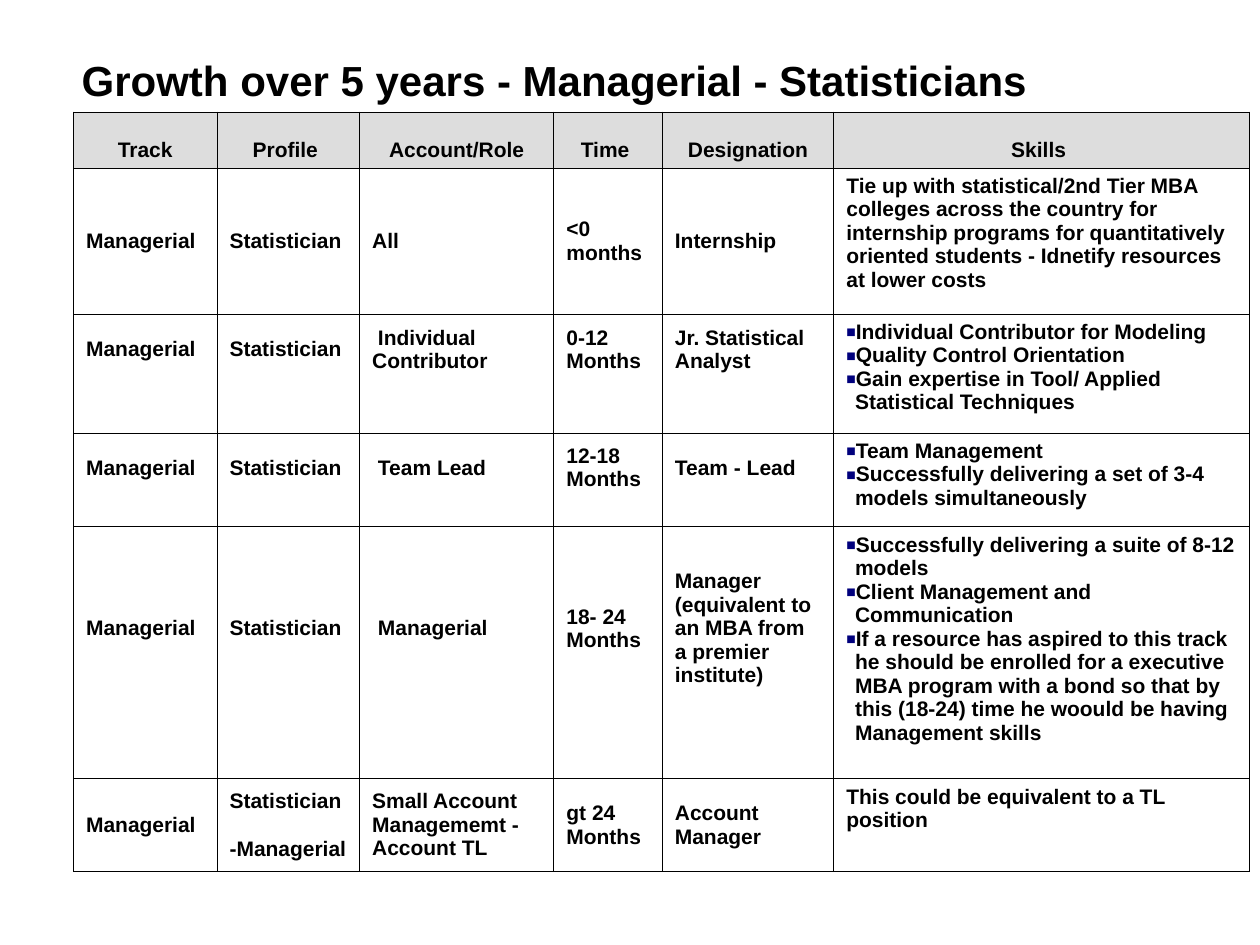
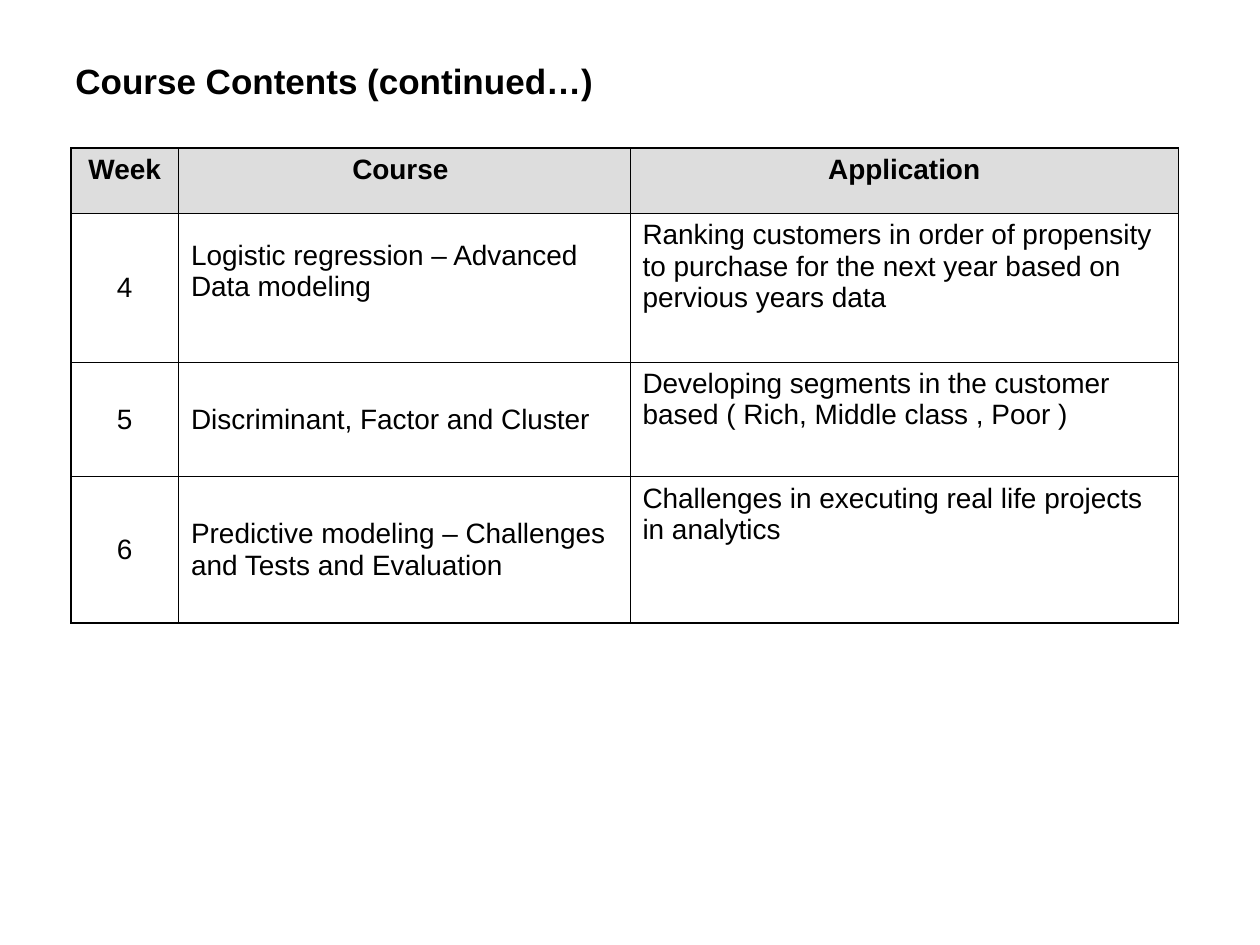
from dataclasses import dataclass

from lxml.etree import SubElement
from pptx import Presentation
from pptx.dml.color import RGBColor
from pptx.enum.text import MSO_ANCHOR, PP_ALIGN
from pptx.oxml.ns import qn
from pptx.util import Pt


@dataclass(frozen=True)
class Theme:
    font: str = "Arial"
    ink: str = "000000"
    head: str = "DDDDDD"
    mark: str = "00007D"
    thin: float = 0.45
    thick: float = 1.08
    line: float = 1.15  # line height as a share of the type size


theme = Theme()
LEFT, MID = PP_ALIGN.LEFT, PP_ALIGN.CENTER


def put(frame, text, size, bold=True, align=LEFT, gap=0):
    """Write one paragraph per line; a leading ■ becomes a bullet."""
    frame.word_wrap = True
    for i, line in enumerate(text.split("\n")):
        para = frame.paragraphs[0] if i == 0 else frame.add_paragraph()
        para.alignment = align
        para.space_before = Pt(gap if i else 0)
        run = para.add_run()
        run.text = line.removeprefix("■")
        run.font.name = theme.font
        run.font.size = Pt(size)
        run.font.bold = bold
        run.font.color.rgb = RGBColor.from_string(theme.ink)
        if line.startswith("■"):
            props = para._p.get_or_add_pPr()
            props.set("marL", str(Pt(5)))
            props.set("indent", str(-Pt(5)))
            tint = SubElement(props, qn("a:buClr"))
            SubElement(tint, qn("a:srgbClr"), val=theme.mark)
            SubElement(props, qn("a:buSzPct"), val="75000")
            SubElement(props, qn("a:buFont"), typeface=theme.font)
            SubElement(props, qn("a:buChar"), char="■")


def edge(cell, sides):
    """Draw the cell borders: side letter to width."""
    props = cell._tc.get_or_add_tcPr()
    for side in "LRTB":
        ln = SubElement(props, qn(f"a:ln{side}"), w=str(Pt(sides[side])))
        fill = SubElement(ln, qn("a:solidFill"))
        SubElement(fill, qn("a:srgbClr"), val=theme.ink)


# Content of the two slides; "tail" holds the free lines below a cell's text
growth = dict(
    title="Growth over 5 years - Managerial - Statisticians",
    box=(39.6, 27.5, 608, 36), big=24,
    spot=(42, 64), size=12, bold=True, rim=theme.thin,
    cols=(82, 81.5, 111, 62, 98, 237.5),
    rows=(32, 83.5, 68, 53.5, 144, 53),
    top=MSO_ANCHOR.BOTTOM, mids=(),
    tail={(r, c): n for r, n in ((2, 2), (3, 1), (4, 2)) for c in range(5)},
    cells=(
        ("Track", "Profile ", "Account/Role", "Time ", "Designation", "Skills "),
        ("Managerial", "Statistician", "All", "<0 months", "Internship",
         "Tie up with statistical/2nd Tier MBA colleges across the country for "
         "internship programs for quantitatively oriented students - "
         "Idnetify resources at lower costs"),
        ("Managerial", "Statistician", " Individual Contributor", "0-12 Months",
         "Jr. Statistical Analyst",
         "■Individual Contributor for Modeling\n■Quality Control Orientation\n"
         "■Gain expertise in Tool/ Applied Statistical Techniques"),
        ("Managerial", "Statistician", " Team Lead", "12-18 Months",
         "Team - Lead",
         "■Team Management\n"
         "■Successfully delivering a set of 3-4 models simultaneously"),
        ("Managerial", "Statistician", " Managerial", "18- 24 Months",
         "Manager (equivalent to an MBA from a premier institute)",
         "■Successfully delivering a suite of 8-12 models\n"
         "■Client Management and Communication\n"
         "■If a resource has aspired to this track he should be enrolled for a "
         "executive MBA program with a bond so that by this (18-24) time he "
         "woould be having Management skills"),
        ("Managerial", "Statistician\n-Managerial",
         "Small Account Managememt - Account TL", "gt 24 Months",
         "Account Manager", "This could be equivalent to a TL position"),
    ),
)
course = dict(
    title="Course Contents (continued…)",
    box=(36, 36, 648, 20), big=20,
    spot=(40.5, 84.5), size=16, bold=False, rim=theme.thick,
    cols=(61.5, 258, 313.5),
    rows=(37.5, 85, 65.5, 83.5),
    top=MSO_ANCHOR.TOP, mids=(0,),
    tail={(1, 1): 1},
    cells=(
        ("Week", "Course ", "Application"),
        ("4", "Logistic regression – Advanced Data modeling",
         "Ranking customers in order of propensity to purchase for the next "
         "year based on pervious years data"),
        ("5", "Discriminant, Factor and Cluster",
         "Developing segments in the customer based "
         "( Rich, Middle class , Poor )"),
        ("6", "Predictive modeling – Challenges and Tests and Evaluation",
         "Challenges in executing real life projects in analytics"),
    ),
)

deck = Presentation()
deck.slide_width, deck.slide_height = Pt(720), Pt(540)

for page in (growth, course):
    slide = deck.slides.add_slide(deck.slide_layouts[6])
    size, rim = page["size"], page["rim"]
    cols, rows = page["cols"], page["rows"]

    # Title
    box = slide.shapes.add_textbox(*map(Pt, page["box"]))
    box.text_frame.vertical_anchor = MSO_ANCHOR.MIDDLE
    put(box.text_frame, page["title"], page["big"])

    # Table grid
    left, top = page["spot"]
    grid = slide.shapes.add_table(
        len(rows), len(cols), Pt(left), Pt(top), Pt(sum(cols)), Pt(sum(rows))
    ).table
    grid.first_row = grid.horz_banding = False
    for col, width in zip(grid.columns, cols):
        col.width = Pt(width)
    for row, height in zip(grid.rows, rows):
        row.height = Pt(height)

    # Cells
    end_r, end_c = len(rows) - 1, len(cols) - 1
    for r, line in enumerate(page["cells"]):
        for c, text in enumerate(line):
            cell = grid.cell(r, c)
            head = r == 0
            edge(cell, dict(
                L=rim if c == 0 else theme.thin,
                R=rim if c == end_c else theme.thin,
                T=rim if head else theme.thin,
                B=rim if r == end_r else theme.thin,
            ))
            if head:
                cell.fill.solid()
                cell.fill.fore_color.rgb = RGBColor.from_string(theme.head)
                cell.vertical_anchor = page["top"]
            else:
                cell.fill.background()
                last = c == end_c
                cell.vertical_anchor = MSO_ANCHOR.TOP if last else MSO_ANCHOR.MIDDLE
            step = size * theme.line
            cell.margin_bottom = Pt(3.6 + step * page["tail"].get((r, c), 0))
            put(cell.text_frame, text, size,
                bold=head or page["bold"],
                align=MID if head or c in page["mids"] else LEFT,
                gap=0 if "■" in text else step)

deck.save("out.pptx")
